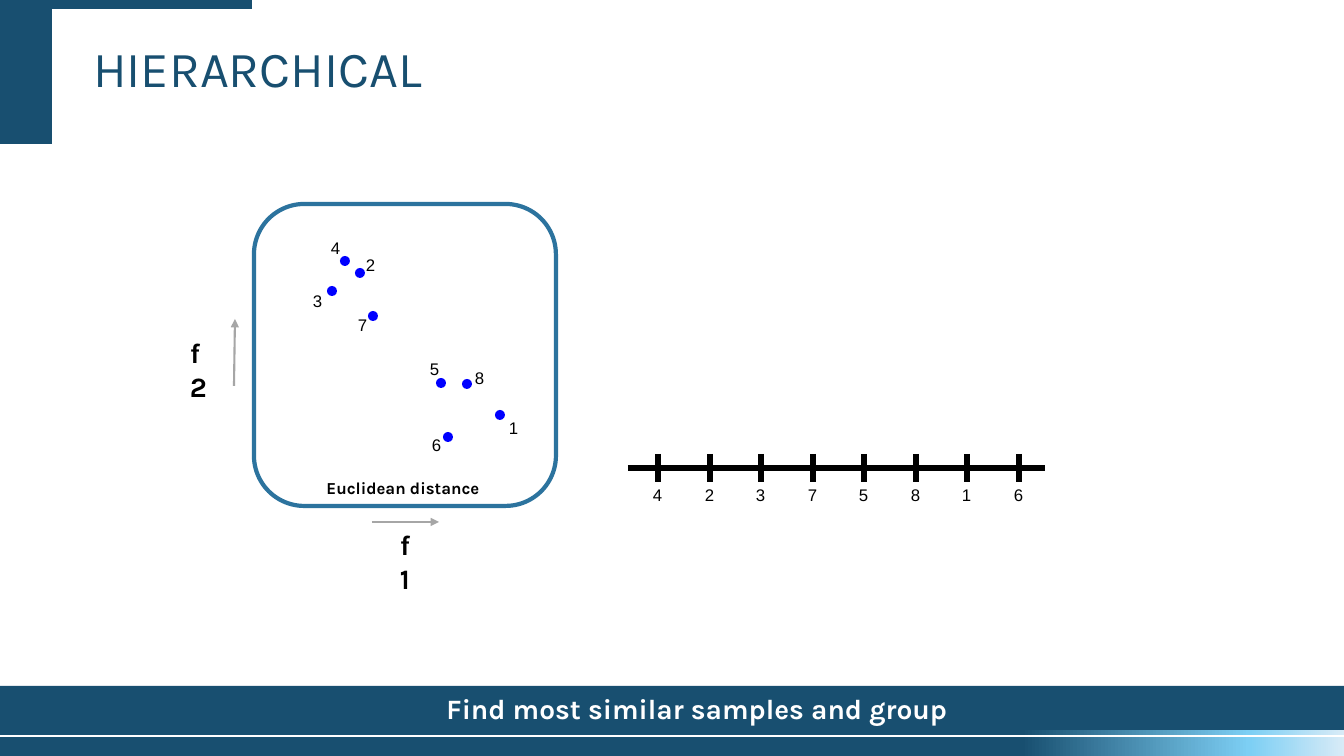
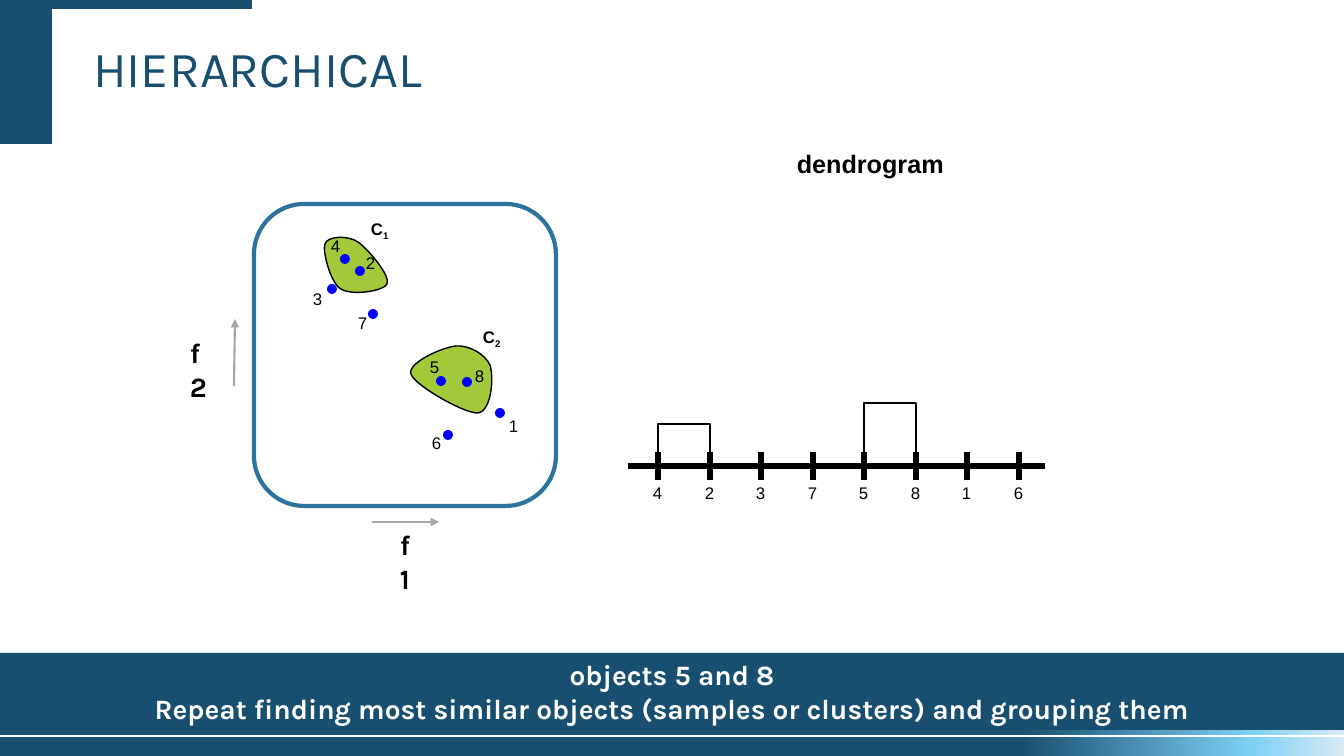
from copy import deepcopy
from dataclasses import dataclass
from lxml import etree
from pptx import Presentation
from pptx import util as u
from pptx.dml.color import RGBColor as Rgb
from pptx.enum import shapes as sh, text as tx
from pptx.oxml.ns import qn

PX = 914400 / 100.8


@dataclass(frozen=True)
class Theme:
    navy: Rgb = Rgb(0x18, 0x4F, 0x70)
    sky: Rgb = Rgb(0x7D, 0xCF, 0xF4)
    pale: Rgb = Rgb(0xD8, 0xEB, 0xF7)
    frame: Rgb = Rgb(0x2C, 0x73, 0x9E)
    dot: Rgb = Rgb(0, 0, 0xFF)
    green: Rgb = Rgb(0xA1, 0xC9, 0x3A)
    gray: Rgb = Rgb(0xA6, 0xA6, 0xA6)
    black: Rgb = Rgb(0, 0, 0)
    white: Rgb = Rgb(0xFF, 0xFF, 0xFF)
    main: str = "Karla"
    plain: str = "Arial"
    title: int = 36
    body: int = 20
    head: int = 18
    small: int = 12


T = Theme()
LEFT, MID = tx.PP_ALIGN.LEFT, tx.PP_ALIGN.CENTER


def px(*nums):
    return [u.Emu(round(n * PX)) for n in nums]


def style(frame, face, size, color=T.black, bold=False, align=LEFT):
    frame.word_wrap = True
    for par in frame.paragraphs:
        par.alignment = align
        for run in par.runs:
            font = run.font
            font.name, font.size, font.bold = face, u.Pt(size), bold
            font.color.rgb = color


# Samples: name, dot centre, label corner
dots = [
    ("4", 345, 261, 321, 233), ("2", 360, 273, 356, 250),
    ("3", 332, 291, 303, 286), ("7", 373, 316, 348, 310),
    ("5", 441, 383, 420, 354), ("8", 467, 384, 465, 363),
    ("1", 500, 415, 499, 413), ("6", 448, 437, 422, 430),
]
ticks = [658 + round(i * 361 / 7) for i in range(len(dots))]

# Cluster outlines: start point, then cubic curves
one = [(358, 242), (348, 235), (327, 236), (325, 244), (322, 251), (331, 284),
       (341, 289), (352, 296), (384, 291), (387, 284), (391, 276), (368, 249),
       (358, 242)]
two = [(456, 346), (443, 347), (407, 363), (411, 374), (414, 385), (465, 414),
       (478, 413), (492, 411), (494, 376), (490, 365), (485, 354), (469, 345),
       (456, 346)]

# Each slide: vertical shift, caption, caption indent, clusters
# Each cluster: outline, number, label corner, first tick, bracket top and foot
pages = [
    (0, ["Find most similar samples and group"], 50, []),
    (-2, ["objects 5 and 8",
          "Repeat finding most similar objects (samples or clusters) "
          "and grouping them"], 0,
     [(one, "1", 361, 214, 0, 424, 466), (two, "2", 473, 322, 4, 403, 463)]),
]

deck = Presentation()
deck.slide_width, deck.slide_height = px(1344, 756)

for shift, lines, indent, groups in pages:
    slide = deck.slides.add_slide(deck.slide_layouts[5])
    art = slide.shapes

    # Title
    title = art.title
    title.left, title.top, title.width, title.height = px(83, 38, 1158, 66)
    frame = title.text_frame
    frame.text = "HIERARCHICAL"
    frame.auto_size = tx.MSO_AUTO_SIZE.NONE
    frame.vertical_anchor = tx.MSO_ANCHOR.MIDDLE
    frame.paragraphs[0].line_spacing = 0.9
    style(frame, T.main, T.title, T.navy)

    # Corner bars and caption band
    high = 11 + 33 * len(lines)
    for box in [(0, 0, 52, 144), (52, 0, 200, 9), (0, 730 - high, 1344, high)]:
        band = art.add_shape(sh.MSO_SHAPE.RECTANGLE, *px(*box))
        band.shadow.inherit = False
        band.fill.solid()
        band.fill.fore_color.rgb = T.navy
        band.line.fill.background()
    frame = band.text_frame
    frame.text = "\n".join(lines)
    frame.vertical_anchor = tx.MSO_ANCHOR.MIDDLE
    frame.margin_left, = px(10 + indent)
    style(frame, T.main, T.body, T.white, True, MID)

    # Footer strips with a three-stop gradient
    for top, tall in [(737, 19), (730, 5)]:
        strip = art.add_shape(sh.MSO_SHAPE.RECTANGLE, *px(0, top, 1344, tall))
        strip.shadow.inherit = False
        strip.line.fill.background()
        strip.fill.gradient()
        strip.fill.gradient_angle = 0
        stops = strip._element.spPr.find(".//" + qn("a:gsLst"))
        stops.append(deepcopy(stops[0]))
        shades = [(0.76, T.navy), (0.93, T.sky), (1, T.pale)]
        for stop, (place, color) in zip(strip.fill.gradient_stops, shades):
            stop.position = place
            stop.color.rgb = color

    # Scatter frame
    panel = art.add_shape(sh.MSO_SHAPE.ROUNDED_RECTANGLE,
                          *px(254, 204, 302, 302))
    panel.shadow.inherit = False
    panel.fill.background()
    panel.line.color.rgb = T.frame
    panel.line.width = u.Pt(3)

    # Clusters and their brackets
    for curve, num, left, top, first, peak, foot in groups:
        x1, x2 = ticks[first:first + 2]
        arch = [(x1, foot), (x1, peak), (x2, peak), (x2, foot)]
        for spots, closed, width in [(curve, True, 1), (arch, False, 2)]:
            ends = [px(*spot) for spot in spots]
            pen = art.build_freeform(*ends[0])
            pen.add_line_segments(ends[1:], close=closed)
            form = pen.convert_to_shape()
            form.shadow.inherit = False
            form.line.color.rgb = T.black
            form.line.width = u.Pt(width)
            if not closed:
                form.fill.background()
                continue
            form.fill.solid()
            form.fill.fore_color.rgb = T.green
            # Every three line points become one cubic curve
            steps = list(form._element.iter(qn("a:lnTo")))
            for k in range(0, len(steps), 3):
                bend = etree.Element(qn("a:cubicBezTo"))
                steps[k].addprevious(bend)
                for step in steps[k:k + 3]:
                    bend.append(step[0])
                    step.getparent().remove(step)
        mark = art.add_textbox(*px(left, top, 48, 30)).text_frame
        mark.text = "C"
        sub = mark.paragraphs[0].add_run()
        sub.text = num
        style(mark, T.plain, T.small, bold=True)
        sub.font._element.set("baseline", "-25000")

    # Axis, ticks and feature arrows
    base = 468 + shift
    rods = [(628, base, 1045, base, T.black, 4)]
    rods += [(x, base - 14, x, base + 14, T.black, 4) for x in ticks]
    rods += [(372, 522, 439, 522, T.gray, 1.5), (234, 386, 235, 319, T.gray, 1.5)]
    for x1, y1, x2, y2, color, width in rods:
        rod = art.add_connector(sh.MSO_CONNECTOR.STRAIGHT, *px(x1, y1, x2, y2))
        rod.line.color.rgb = color
        rod.line.width = u.Pt(width)
        if color == T.gray:
            line = rod._element.spPr.find(qn("a:ln"))
            etree.SubElement(line, qn("a:tailEnd")).set("type", "triangle")
        etree.SubElement(rod._element.spPr, qn("a:effectLst"))

    # Dots
    for name, x, y, left, top in dots:
        dot = art.add_shape(sh.MSO_SHAPE.OVAL,
                            *px(x - 5, y - 5 + shift, 10, 10))
        dot.shadow.inherit = False
        dot.fill.solid()
        dot.fill.fore_color.rgb = T.dot
        dot.line.fill.background()

    # Labels: text, box, face, size, bold, alignment
    notes = []
    for (name, x, y, left, top), tick in zip(dots, ticks):
        for spot in [(left, top + shift), (tick - 15, base + 12)]:
            notes.append((name, (*spot, 29, 30), T.plain, T.small, False, LEFT))
    notes += [
        ("f1", (386, 523, 38, 44), T.main, T.body, True, MID),
        ("f2", (180, 331, 38, 44), T.main, T.body, True, LEFT),
    ]
    if groups:
        notes.append(("dendrogram", (787, 143, 180, 40), T.plain, T.head,
                      True, LEFT))
    else:
        notes.append(("Euclidean distance", (261, 473, 284, 37), T.main,
                      T.small, True, MID))
    for words, box, face, size, bold, align in notes:
        frame = art.add_textbox(*px(*box)).text_frame
        frame.text = words
        style(frame, face, size, bold=bold, align=align)

deck.save("out.pptx")
